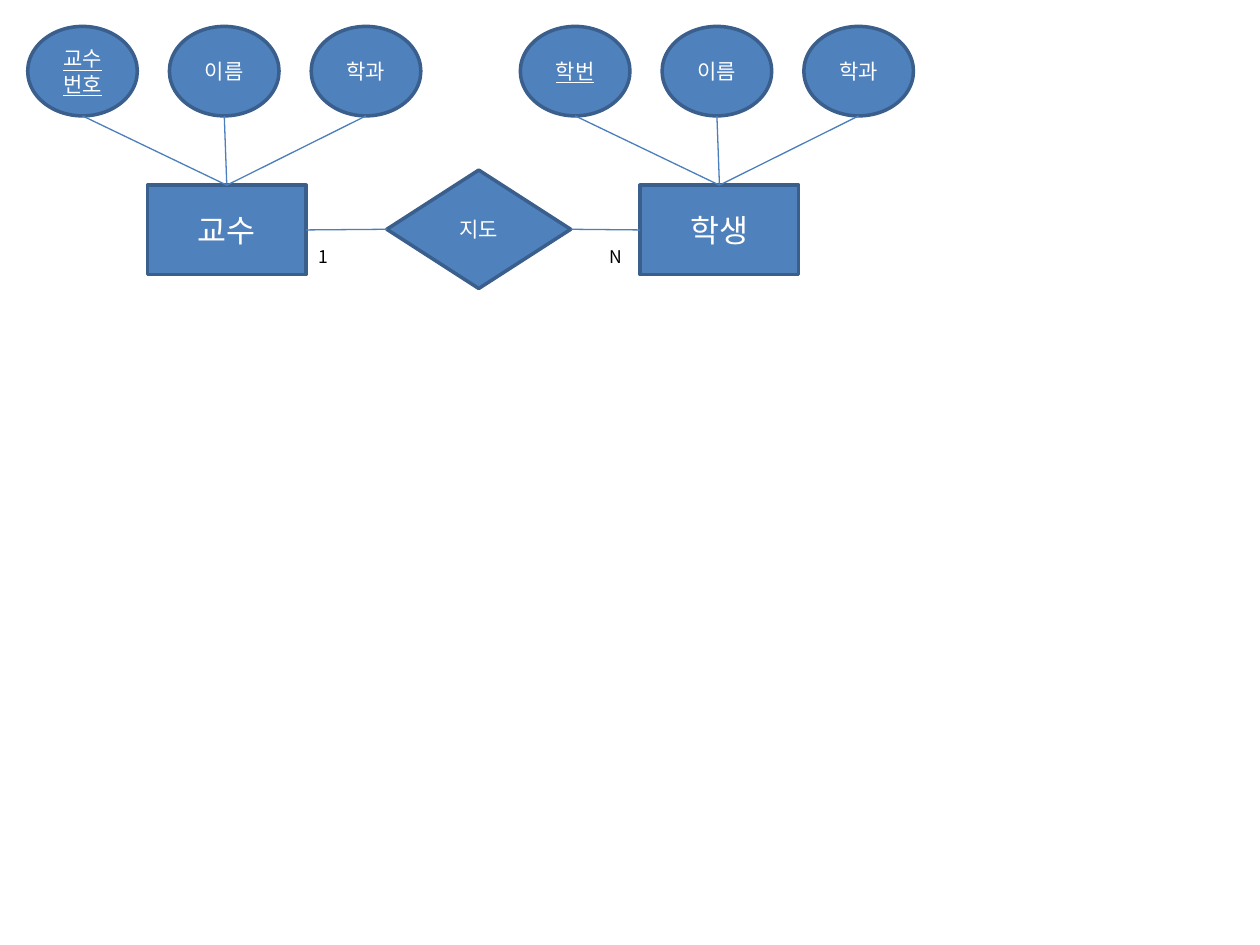
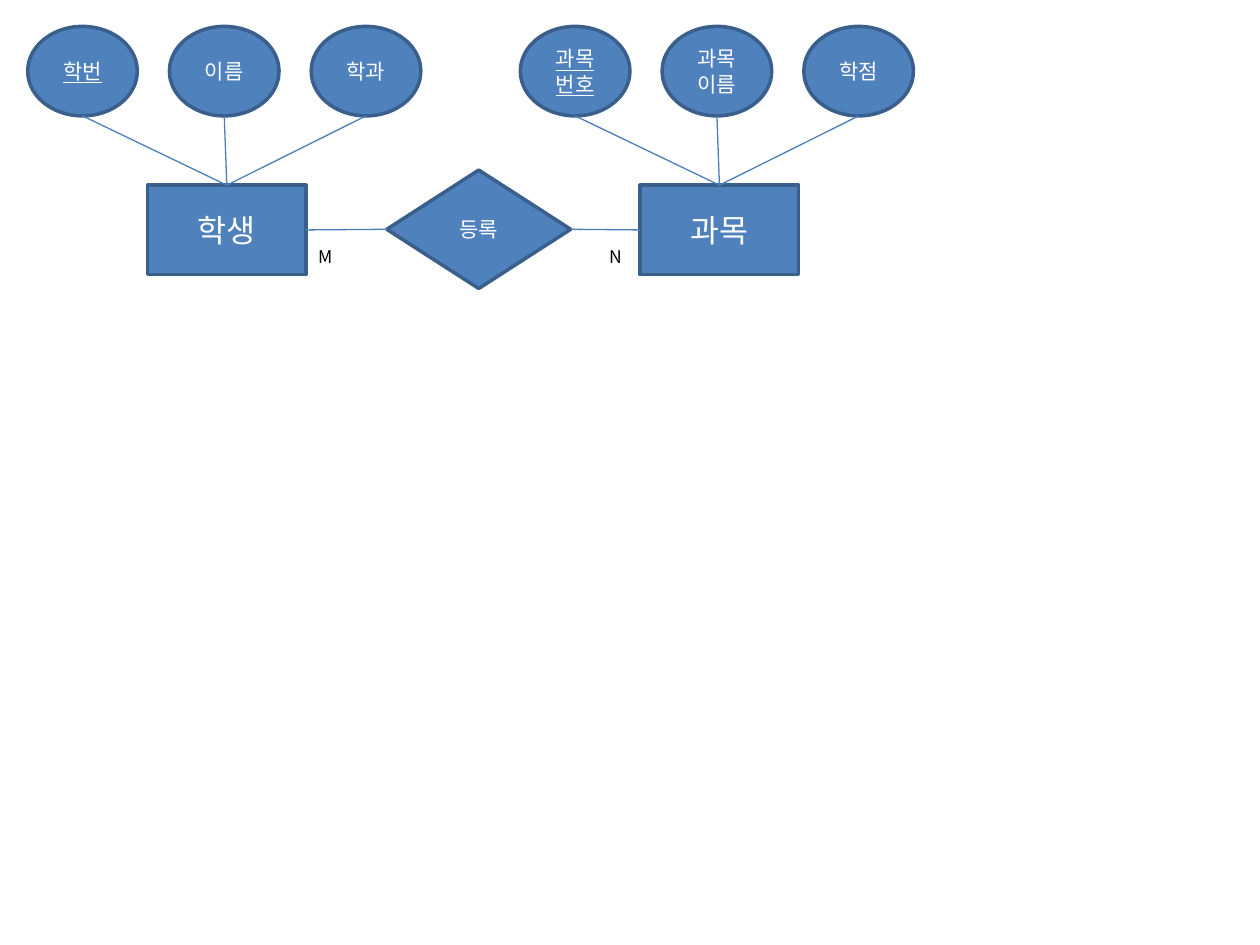
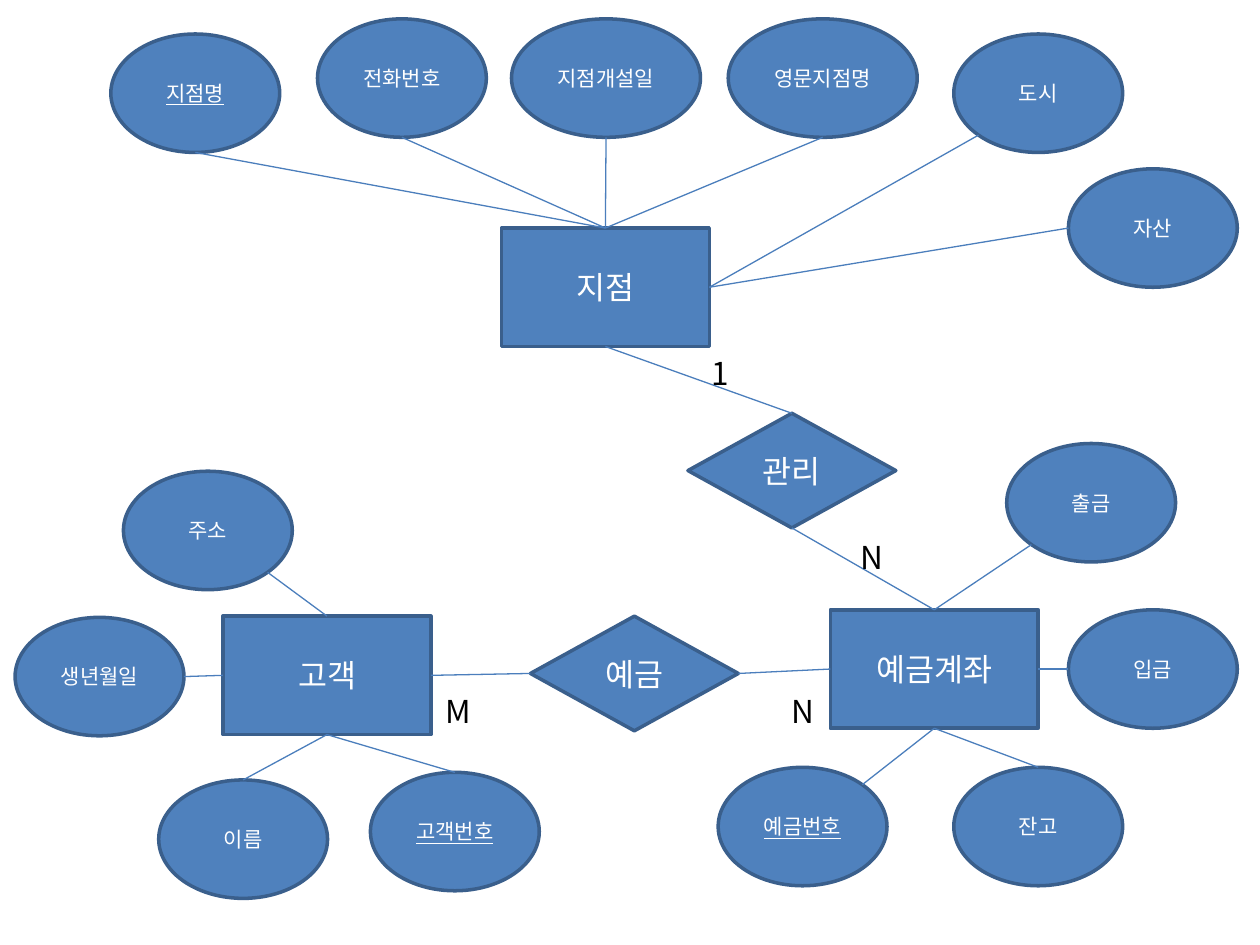
from dataclasses import dataclass
from math import sqrt

from lxml.etree import SubElement
from pptx import Presentation
from pptx.dml.color import RGBColor
from pptx.enum.shapes import MSO_CONNECTOR, MSO_SHAPE
from pptx.enum.text import MSO_ANCHOR, MSO_AUTO_SIZE, PP_ALIGN
from pptx.oxml.ns import qn
from pptx.util import Inches, Pt


@dataclass(frozen=True)
class Theme:
    """Colours, type sizes and line widths of the deck."""
    font: str = "Noto Sans CJK KR"
    fill: RGBColor = RGBColor(0x4F, 0x81, 0xBD)
    outline: RGBColor = RGBColor(0x3A, 0x5F, 0x8C)
    link: RGBColor = RGBColor(0x4B, 0x7E, 0xBC)
    light: RGBColor = RGBColor(0xFF, 0xFF, 0xFF)
    dark: RGBColor = RGBColor(0, 0, 0)
    large: int = 18
    medium: int = 12
    small: int = 10
    outline_width: float = 2
    link_width: float = 0.75


THEME = Theme()
COLS, ROWS = 10, 7.5
DIAG = sqrt(0.5) / 2
SITES = {
    "top": (0.5, 0), "left": (0, 0.5), "bottom": (0.5, 1), "right": (1, 0.5),
    "top left": (0.5 - DIAG, 0.5 - DIAG), "bottom left": (0.5 - DIAG, 0.5 + DIAG),
    "bottom right": (0.5 + DIAG, 0.5 + DIAG), "top right": (0.5 + DIAG, 0.5 - DIAG),
}
FOUR_SITES = ["top", "left", "bottom", "right"]
EIGHT_SITES = ["top", "top left", "left", "bottom left",
               "bottom", "bottom right", "right", "top right"]


def set_text(tf, text, size, color, underline=None):
    """Write one paragraph in the deck's font, for Latin and Korean."""
    tf.word_wrap = True
    p = tf.paragraphs[0]
    p.text = text
    font = p.font
    font.name, font.size, font.underline = THEME.font, Pt(size), underline
    font.color.rgb = color
    SubElement(p._p.pPr.find(qn("a:defRPr")), qn("a:ea"), typeface=THEME.font)
    return p


def add_node(s, kind, text, box, size, key=False):
    """Add a filled shape with centred text; a key is underlined."""
    sp = s.shapes.add_shape(kind, *map(Inches, box))
    sp.shadow.inherit = False
    sp.fill.solid()
    sp.fill.fore_color.rgb = THEME.fill
    sp.line.color.rgb = THEME.outline
    sp.line.width = Pt(THEME.outline_width)
    sp.text_frame.vertical_anchor = MSO_ANCHOR.MIDDLE
    p = set_text(sp.text_frame, text, size, THEME.light, key or None)
    p.alignment = PP_ALIGN.CENTER
    return sp


def add_entity(s, text, box):
    """Add an entity rectangle."""
    return add_node(s, MSO_SHAPE.RECTANGLE, text, box, THEME.large)


def add_attribute(s, text, box, key=False):
    """Add an attribute ellipse."""
    return add_node(s, MSO_SHAPE.OVAL, text, box, THEME.medium, key)


def add_relation(s, text, box, size):
    """Add a relationship diamond."""
    return add_node(s, MSO_SHAPE.DIAMOND, text, box, size)


def site_point(sp, site):
    """Return the slide position of a connection site."""
    x, y = SITES[site]
    return round(sp.left + x * sp.width), round(sp.top + y * sp.height)


def add_link(s, start, start_site, end, end_site):
    """Draw a straight connector glued to two shapes."""
    link = s.shapes.add_connector(MSO_CONNECTOR.STRAIGHT,
                                  *site_point(start, start_site),
                                  *site_point(end, end_site))
    link.line.color.rgb = THEME.link
    link.line.width = Pt(THEME.link_width)
    SubElement(link._element.spPr, qn("a:effectLst"))
    glue = link._element.nvCxnSpPr.cNvCxnSpPr
    for tag, sp, site in (("a:stCxn", start, start_site), ("a:endCxn", end, end_site)):
        oval = sp.auto_shape_type == MSO_SHAPE.OVAL
        index = (EIGHT_SITES if oval else FOUR_SITES).index(site)
        SubElement(glue, qn(tag), id=str(sp.shape_id), idx=str(index))


def add_cardinality(s, text, box, size):
    """Add a cardinality label."""
    tf = s.shapes.add_textbox(*map(Inches, box)).text_frame
    set_text(tf, text, size, THEME.dark)
    tf.auto_size = MSO_AUTO_SIZE.SHAPE_TO_FIT_TEXT


def add_entity_group(s, left, name, attributes):
    """Add an entity below its row of attributes, the first being the key."""
    step, width, height = 1.125, 0.87, 0.71
    entity = add_entity(s, name, (left + 0.95, 1.47, 1.26, height))
    ovals = [add_attribute(s, text, (left + i * step, 0.21, width, height), i == 0)
             for i, text in enumerate(attributes)]
    for oval in ovals:
        add_link(s, oval, "bottom", entity, "top")
    return entity


def binary_slide(prs, groups, relation, cardinalities):
    """Build a slide with two entities and one relationship."""
    s = prs.slides.add_slide(prs.slide_layouts[6])
    first, second = [add_entity_group(s, left, *group)
                     for left, group in zip((0.22, 4.13), groups)]
    diamond = add_relation(s, relation, (3.07, 1.35, 1.46, 0.94), THEME.medium)
    add_link(s, diamond, "left", first, "right")
    add_link(s, diamond, "right", second, "left")
    for left, text in zip((2.43, 4.74), cardinalities):
        add_cardinality(s, text, (left, 1.9, 0.32, 0.27), THEME.small)


def bank_slide(prs):
    """Build the bank diagram."""
    s = prs.slides.add_slide(prs.slide_layouts[6])
    narrow, wide, block, height, flat = 1.34, 1.5, 1.65, 0.94, 0.91
    groups = [
        ("지점", 3.98, 1.81, [
            ("도시", 7.57, 0.27, narrow, "bottom left", "right"),
            ("지점명", 0.88, 0.27, narrow, "bottom", "top"),
            ("자산", 8.48, 1.34, narrow, "left", "right"),
            ("영문지점명", 5.78, 0.15, wide, "bottom", "top"),
            ("지점개설일", 4.06, 0.15, wide, "bottom", "top"),
            ("전화번호", 2.52, 0.15, narrow, "bottom", "top")]),
        ("고객", 1.77, 4.89, [
            ("고객번호", 2.94, 6.13, narrow, "top", "bottom"),
            ("이름", 1.26, 6.19, narrow, "top", "bottom"),
            ("주소", 0.98, 3.74, narrow, "bottom right", "top"),
            ("생년월일", 0.12, 4.9, narrow, "right", "left")]),
        ("예금계좌", 6.59, 4.84, [
            ("예금번호", 5.7, 6.09, narrow, "top right", "bottom"),
            ("잔고", 7.57, 6.09, narrow, "top", "bottom"),
            ("입금", 8.48, 4.84, narrow, "left", "right"),
            ("출금", 7.99, 3.52, narrow, "bottom left", "top")]),
    ]
    keys = {"지점명", "고객번호", "예금번호"}
    entities = []
    for name, left, top, attributes in groups:
        entity = add_entity(s, name, (left, top, block, height))
        entities.append(entity)
        for text, x, y, width, site, entity_site in attributes:
            oval = add_attribute(s, text, (x, y, width, height), text in keys)
            add_link(s, oval, site, entity, entity_site)
    branch, customer, account = entities

    deposit = add_relation(s, "예금", (4.21, 4.89, block, flat), THEME.large)
    add_link(s, customer, "right", deposit, "left")
    add_link(s, deposit, "right", account, "left")
    manage = add_relation(s, "관리", (5.46, 3.28, block, flat), THEME.large)
    add_link(s, branch, "bottom", manage, "top")
    add_link(s, manage, "bottom", account, "top")
    for text, left, top in (("M", 3.44, 5.44), ("N", 6.18, 5.44),
                            ("1", 5.55, 2.76), ("N", 6.73, 4.22)):
        add_cardinality(s, text, (left, top, 0.37, 0.4), THEME.large)


def main():
    """Build and save the deck."""
    prs = Presentation()
    prs.slide_width, prs.slide_height = Inches(COLS), Inches(ROWS)
    binary_slide(prs, [("교수", ["교수 번호", "이름", "학과"]),
                       ("학생", ["학번", "이름", "학과"])], "지도", "1N")
    binary_slide(prs, [("학생", ["학번", "이름", "학과"]),
                       ("과목", ["과목 번호", "과목 이름", "학점"])], "등록", "MN")
    bank_slide(prs)
    prs.save("out.pptx")


main()
